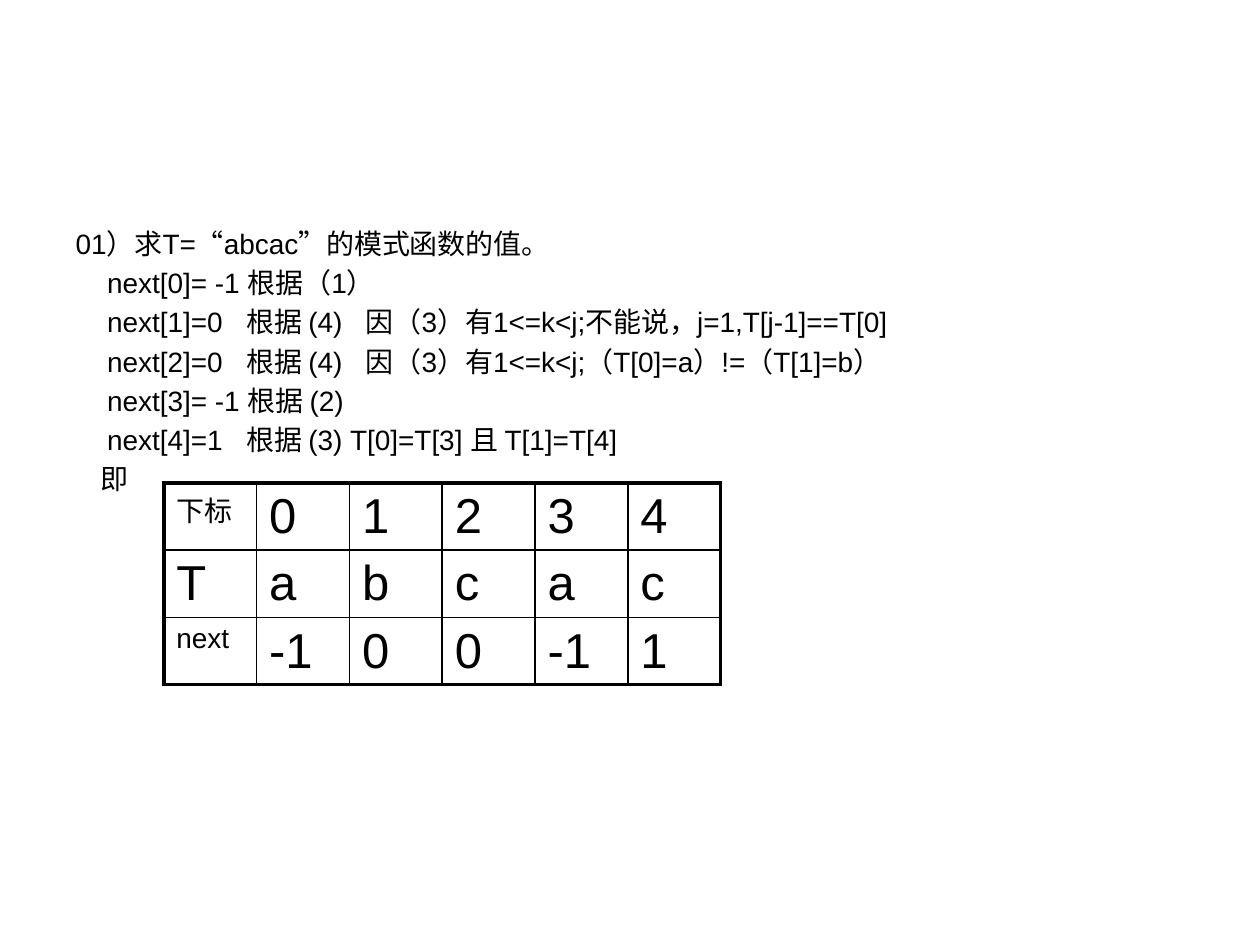
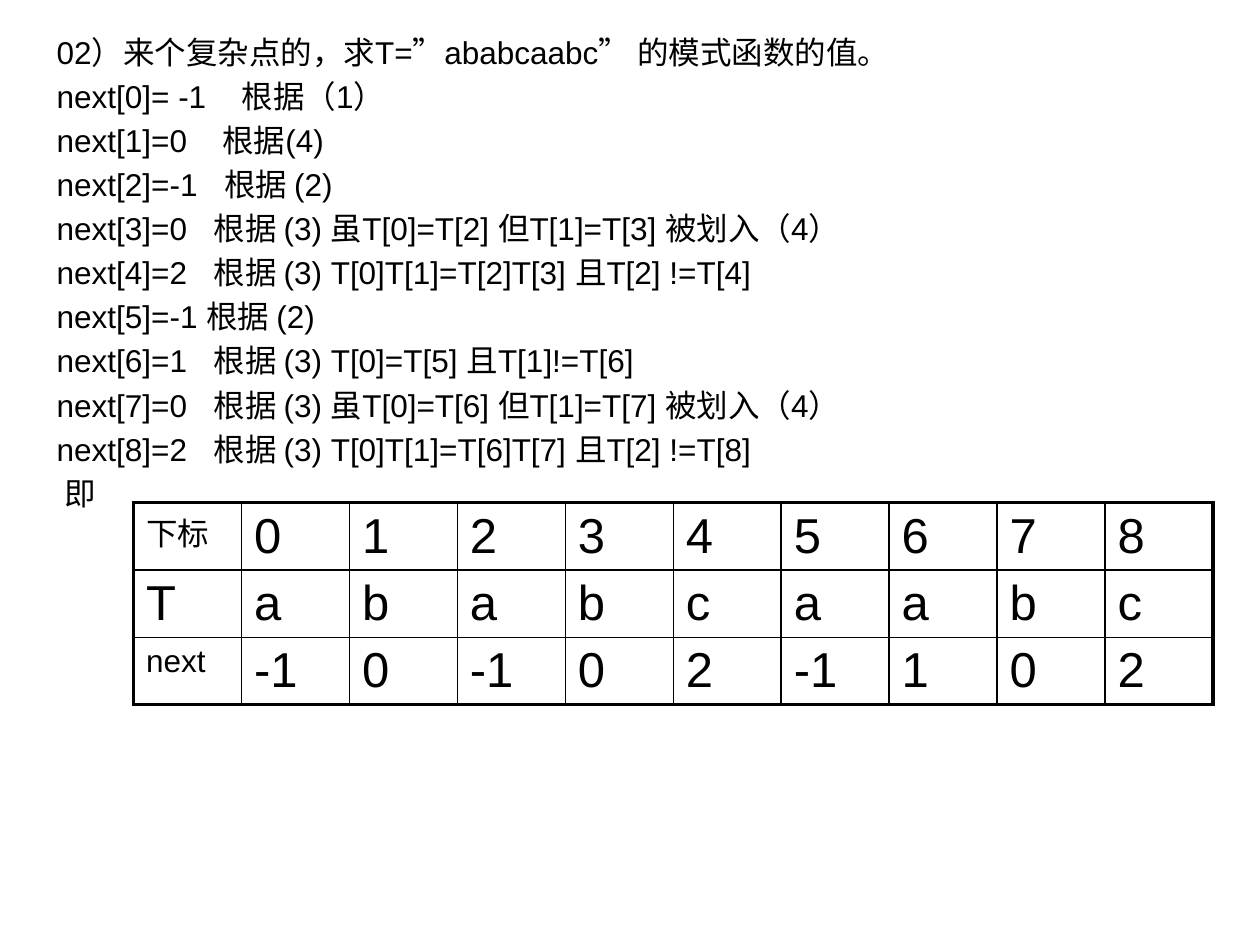
from lxml.etree import SubElement
from pptx import Presentation
from pptx.dml.color import RGBColor
from pptx.enum.text import MSO_AUTO_SIZE
from pptx.oxml.ns import qn
from pptx.util import Emu, Inches, Pt

INK = {"text": "000000", "line": "000000"}
FACE = "Arial"
BIG = 28        # size of the values in the tables
THIN, THICK = 1, 2.25
ROW = 0.071     # table row height, as a share of the slide
LEAD = 0.2      # space before a line, as a share of its size
SPACE = 0.28    # width of a space, as a share of its size

# Each step is its left indent in inches, the width of its gaps
# in spaces, and its parts, which the gaps hold apart.
pages = [
    {
        "size": 16,
        "body": (0.05, 0.233, 0.907, 0.66),
        "grid": (0.13, 0.511, 0.442),
        "steps": [
            (0, 1, ["01）求T=“abcac”的模式函数的值。"]),
            (0.25, 1, ["next[0]= -1", "根据（1）"]),
            (0.25, 3, ["next[1]=0", "根据 (4)", "因（3）有1<=k<j;不能说，j=1,T[j-1]==T[0]"]),
            (0.25, 3, ["next[2]=0", "根据 (4)", "因（3）有1<=k<j;（T[0]=a）!=（T[1]=b）"]),
            (0.25, 1, ["next[3]= -1", "根据 (2)"]),
            (0.25, 3, ["next[4]=1", "根据 (3) T[0]=T[3] 且 T[1]=T[4]"]),
            (0.2, 1, ["即"]),
        ],
        "word": "abcac",
        "next": [-1, 0, 0, -1, 1],
    },
    {
        "size": 18,
        "body": (0.035, 0.028, 0.907, 0.945),
        "grid": (0.106, 0.532, 0.857),
        "steps": [
            (0, 1, ["02）来个复杂点的，求T=”ababcaabc” 的模式函数的值。"]),
            (0, 4, ["next[0]= -1", "根据（1）"]),
            (0, 4, ["next[1]=0", "根据(4)"]),
            (0, 3, ["next[2]=-1", "根据 (2)"]),
            (0, 3, ["next[3]=0", "根据 (3) 虽T[0]=T[2] 但T[1]=T[3] 被划入（4）"]),
            (0, 3, ["next[4]=2", "根据 (3) T[0]T[1]=T[2]T[3] 且T[2] !=T[4]"]),
            (0, 1, ["next[5]=-1", "根据 (2)"]),
            (0, 3, ["next[6]=1", "根据 (3) T[0]=T[5] 且T[1]!=T[6]"]),
            (0, 3, ["next[7]=0", "根据 (3) 虽T[0]=T[6] 但T[1]=T[7] 被划入（4）"]),
            (0, 3, ["next[8]=2", "根据 (3) T[0]T[1]=T[6]T[7] 且T[2] !=T[8]"]),
            (0.06, 1, ["即"]),
        ],
        "word": "ababcaabc",
        "next": [-1, 0, -1, 0, 2, -1, 1, 0, 2],
    },
]


def write(para, text, size, track=0):
    """Add a run; track is extra letter spacing in points."""
    run = para.add_run()
    run.text = text
    run.font.name = FACE
    run.font.size = Pt(size)
    run.font.bold = False
    run.font.color.rgb = RGBColor.from_string(INK["text"])
    if track:
        run.font._element.set("spc", str(round(track * 100)))


def edge(cell, sides):
    """Draw the cell's borders; sides maps L, R, T, B to widths in points."""
    props = cell._tc.get_or_add_tcPr()
    for spot, (side, width) in enumerate(sides.items()):
        line = SubElement(props, qn(f"a:ln{side}"), w=str(Pt(width)))
        fill = SubElement(line, qn("a:solidFill"))
        SubElement(fill, qn("a:srgbClr"), val=INK["line"])
        props.insert(spot, line)


deck = Presentation()
deck.slide_width, deck.slide_height = Inches(10), Inches(7.5)
W, H = deck.slide_width, deck.slide_height

for page in pages:
    slide = deck.slides.add_slide(deck.slide_layouts[1])
    title = slide.shapes.title
    title._element.getparent().remove(title._element)
    size = page["size"]

    # Steps
    body = slide.placeholders[1]
    x, y, wide, high = page["body"]
    body.left, body.top = Emu(int(x * W)), Emu(int(y * H))
    body.width, body.height = Emu(int(wide * W)), Emu(int(high * H))
    frame = body.text_frame
    frame.auto_size = MSO_AUTO_SIZE.NONE
    for i, (left, gap, parts) in enumerate(page["steps"]):
        para = frame.add_paragraph() if i else frame.paragraphs[0]
        props = para._p.get_or_add_pPr()
        props.set("marL", str(Inches(left)))
        props.set("indent", "0")
        SubElement(props, qn("a:buNone"))
        para.space_before = Pt(LEAD * size if i else 0)
        for n, part in enumerate(parts):
            if n:
                write(para, " ", size, (gap - 1) * SPACE * size)
            write(para, part, size)

    # Table of index, letter and next value
    word = page["word"]
    rows = [
        ["下标", *range(len(word))],
        ["T", *word],
        ["next", *page["next"]],
    ]
    x, y, wide = page["grid"]
    cols = len(rows[0])
    grid = slide.shapes.add_table(
        len(rows), cols, int(x * W), int(y * H),
        int(wide * W), int(ROW * H) * len(rows)).table
    grid.first_row = grid.horz_banding = False
    for r, row in enumerate(rows):
        for c, value in enumerate(row):
            cell = grid.cell(r, c)
            cell.fill.background()
            small = value in ("下标", "next")
            write(cell.text_frame.paragraphs[0], str(value),
                  size if small else BIG)
            edge(cell, {
                "L": THICK if c == 0 else THIN,
                "R": THICK if c == cols - 1 else THIN,
                "T": THICK if r == 0 else THIN,
                "B": THICK if r == len(rows) - 1 else THIN,
            })

deck.save("out.pptx")
